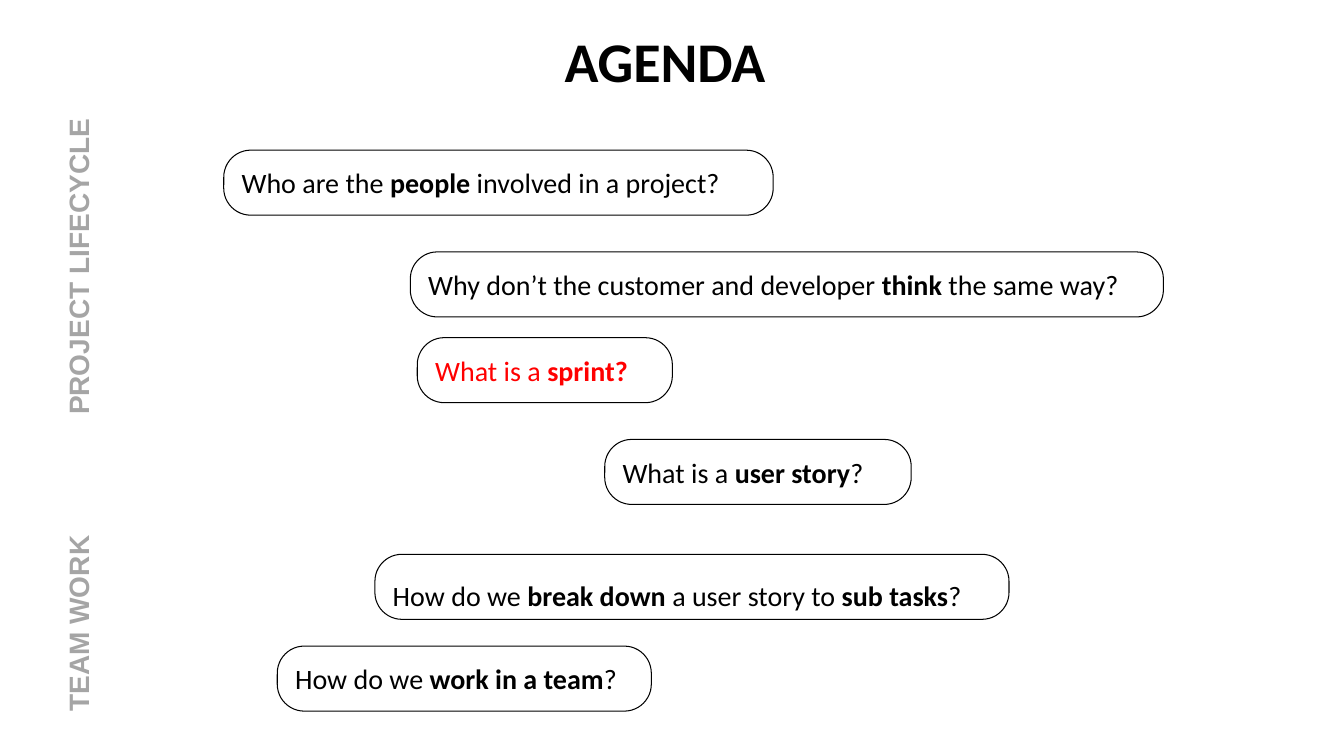
from dataclasses import dataclass

from pptx import Presentation
from pptx.dml.color import RGBColor
from pptx.enum.shapes import MSO_SHAPE
from pptx.enum.text import MSO_ANCHOR, MSO_AUTO_SIZE, PP_ALIGN
from pptx.slide import Slide
from pptx.text.text import TextFrame
from pptx.util import Inches, Pt

ROUNDED = MSO_SHAPE.ROUNDED_RECTANGLE
TOP, MIDDLE = MSO_ANCHOR.TOP, MSO_ANCHOR.MIDDLE
NO_AUTOFIT = MSO_AUTO_SIZE.NONE
LEFT = PP_ALIGN.LEFT

COLORS = {"ink": "000000", "paper": "FFFFFF", "current": "FF0000", "section": "A5A5A5"}
SLIDE_WIDTH, SLIDE_HEIGHT = Inches(13.33), Inches(7.5)
TITLE_ONLY = 5

# Positions and sizes are percentages of the slide's width and height
QUESTION_HEIGHT = 8.6
SECTION_HEIGHT = 5.87
SECTION_CENTER = 5.83


@dataclass(frozen=True)
class Question:
    text: str  # asterisks enclose bold words
    left: float
    top: float
    width: float
    color: str = "ink"
    line_spacing: float = 1.0


@dataclass(frozen=True)
class Section:
    text: str
    top: float
    width: float


QUESTIONS = [
    Question("Who are the *people* involved in a project?", 16.65, 19.87, 40.88),
    Question("Why don’t the customer and developer* think *the same way?", 30.53, 33.33, 56.03),
    Question("What is a *sprint?*", 31.05, 44.67, 18.98, color="current"),
    Question("What is a *user story*?", 45, 58.13, 22.8),
    Question("How do we *break down *a user story to *sub tasks*?", 27.9, 73.33, 47.18,
             line_spacing=1.5),
    Question("How do we *work in a team*?", 20.63, 85.47, 27.83),
]
SECTIONS = [
    Section("PROJECT LIFECYCLE", 31.6, 24.38),
    Section("TEAM WORK", 78.93, 15.3),
]


def area(left: float, top: float, width: float, height: float) -> tuple[int, int, int, int]:
    """Turn percentages of the slide into a position and size."""
    return (round(SLIDE_WIDTH * left / 100), round(SLIDE_HEIGHT * top / 100),
            round(SLIDE_WIDTH * width / 100), round(SLIDE_HEIGHT * height / 100))


def write(frame: TextFrame, text: str, *, size: float = 20, font: str = "Calibri",
          color: str = "ink", anchor: MSO_ANCHOR = TOP, line_spacing: float = 1.0) -> None:
    """Fill a frame with one paragraph, with bold words between asterisks."""
    frame.word_wrap = True
    frame.auto_size = NO_AUTOFIT
    frame.vertical_anchor = anchor
    paragraph = frame.paragraphs[0]
    paragraph.alignment = LEFT
    paragraph.line_spacing = line_spacing
    for index, words in enumerate(text.split("*")):
        if words:
            run = paragraph.add_run()
            run.text = words
            run.font.name = font
            run.font.size = Pt(size)
            run.font.bold = index % 2 == 1
            run.font.color.rgb = RGBColor.from_string(COLORS[color])


def add_question(slide: Slide, question: Question) -> None:
    bubble = slide.shapes.add_shape(
        ROUNDED, *area(question.left, question.top, question.width, QUESTION_HEIGHT))
    bubble.adjustments[0] = 0.415
    bubble.shadow.inherit = False
    bubble.fill.solid()
    bubble.fill.fore_color.rgb = RGBColor.from_string(COLORS["paper"])
    bubble.line.color.rgb = RGBColor.from_string(COLORS["ink"])
    bubble.line.width = Pt(0.75)
    write(bubble.text_frame, question.text, color=question.color, anchor=MIDDLE,
          line_spacing=question.line_spacing)


def add_section(slide: Slide, section: Section) -> None:
    label = slide.shapes.add_textbox(
        *area(SECTION_CENTER - section.width / 2, section.top, section.width, SECTION_HEIGHT))
    label.rotation = 270
    write(label.text_frame, f"*{section.text}*", font="Arial", color="section")


def main() -> None:
    deck = Presentation()
    deck.slide_width, deck.slide_height = SLIDE_WIDTH, SLIDE_HEIGHT
    slide = deck.slides.add_slide(deck.slide_layouts[TITLE_ONLY])

    # Title
    agenda = slide.shapes.title
    agenda.left, agenda.top, agenda.width, agenda.height = area(41.25, 2.8, 17.93, 10.27)
    write(agenda.text_frame, "*AGENDA*", size=40)

    # Agenda questions
    for question in QUESTIONS:
        add_question(slide, question)

    # Vertical section labels
    for section in SECTIONS:
        add_section(slide, section)

    deck.save("out.pptx")


if __name__ == "__main__":
    main()
